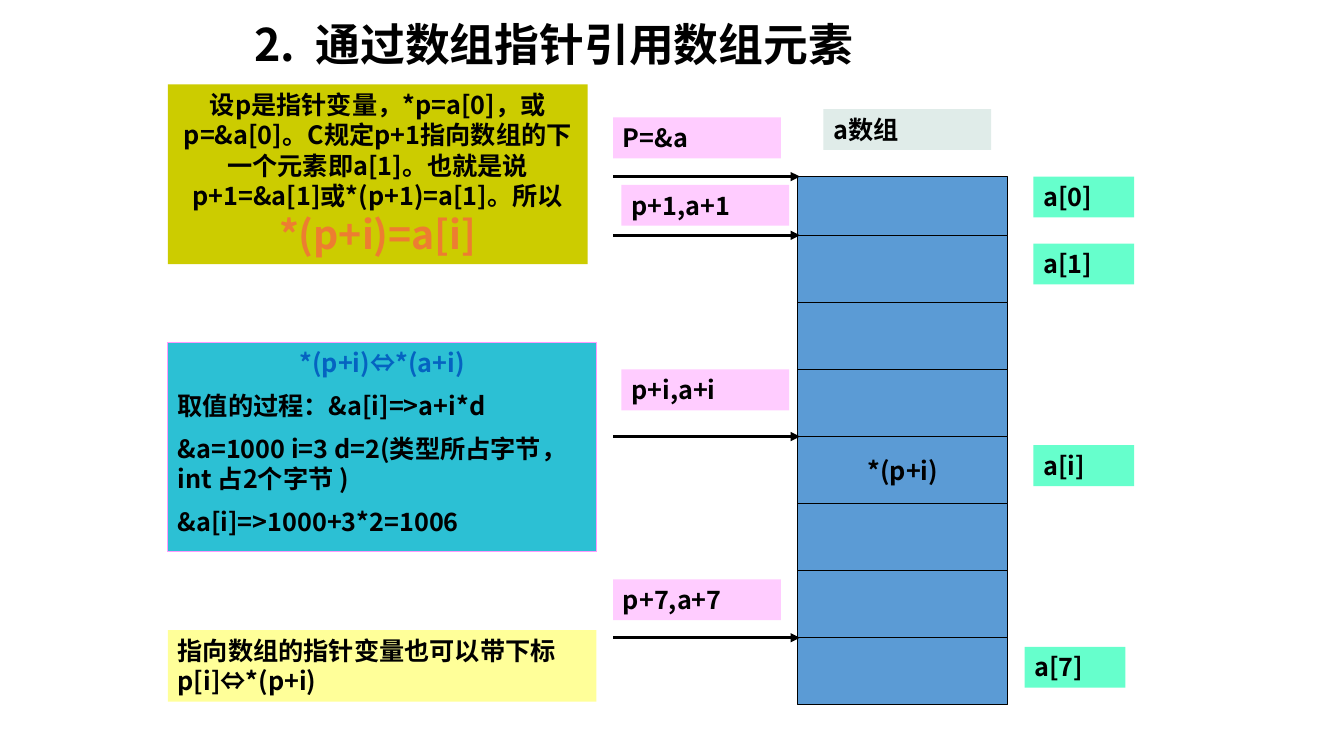
"""Build a slide on reaching array elements through a pointer."""
from lxml import etree
from pptx import Presentation
from pptx.dml.color import RGBColor
from pptx.enum.shapes import MSO_CONNECTOR, MSO_SHAPE
from pptx.enum.text import MSO_ANCHOR, MSO_AUTO_SIZE, PP_ALIGN
from pptx.oxml.ns import qn
from pptx.util import Cm, Pt

RECTANGLE = MSO_SHAPE.RECTANGLE
STRAIGHT = MSO_CONNECTOR.STRAIGHT
LEFT, CENTER = PP_ALIGN.LEFT, PP_ALIGN.CENTER
TOP, MIDDLE = MSO_ANCHOR.TOP, MSO_ANCHOR.MIDDLE
FIT_SHAPE, FIT_NONE = MSO_AUTO_SIZE.SHAPE_TO_FIT_TEXT, MSO_AUTO_SIZE.NONE

FONT = "Noto Sans CJK SC"
BLACK = RGBColor(0x00, 0x00, 0x00)
ORANGE = RGBColor(0xED, 0x7D, 0x31)
LINK_BLUE = RGBColor(0x05, 0x63, 0xC1)
CELL_BLUE = RGBColor(0x5B, 0x9B, 0xD5)
OLIVE = RGBColor(0xCC, 0xCC, 0x00)
MINT = RGBColor(0x66, 0xFF, 0xCC)
PINK = RGBColor(0xFF, 0xCC, 0xFF)
PINK_EDGE = RGBColor(0xFF, 0x99, 0xFF)
TEAL = RGBColor(0x2C, 0xC0, 0xD4)
YELLOW = RGBColor(0xFF, 0xFF, 0x99)
PALE_GREY = RGBColor(0xE0, 0xEC, 0xE9)

ARRAY_LEFT, ARRAY_WIDTH = 20.11, 5.29
FIRST_TOP, SECOND_TOP, PITCH = 4.45, 5.93, 1.69
CELL_COUNT = 8
LABEL_HEIGHT = 1.03
ARROW_LEFT = 15.45


def cell_top(index):
    """Return the top of an array cell in centimetres."""
    return SECOND_TOP + (index - 1) * PITCH if index else FIRST_TOP


def format_span(span, size=18, color=BLACK):
    """Apply the bold slide font to a run."""
    span.font.size = Pt(size)
    span.font.bold = True
    span.font.color.rgb = color
    span.font.name = FONT
    east_asian = etree.SubElement(span.font._element, qn("a:ea"))
    east_asian.set("typeface", FONT)


def add_box(page, place, fill, lines=(), edge=None, align=LEFT, anchor=TOP):
    """Add a filled rectangle with one paragraph for each line."""
    box = page.shapes.add_shape(RECTANGLE, *map(Cm, place))
    box.shadow.inherit = False
    box.fill.solid()
    box.fill.fore_color.rgb = fill
    if edge is None:
        box.line.fill.background()
    else:
        box.line.color.rgb = edge
        box.line.width = Pt(0.75)
    frame = box.text_frame
    frame.word_wrap = True
    frame.vertical_anchor = anchor
    frame.auto_size = FIT_SHAPE if lines and anchor == TOP else FIT_NONE
    frame.text = "\n".join(lines)
    for number, para in enumerate(frame.paragraphs):
        para.alignment = align
        if number:
            para.space_before = Pt(9)
        for span in para.runs:
            format_span(span)
    return box


def add_label(page, left, top, width, fill, text):
    """Add a one-line label."""
    add_box(page, (left, top, width, LABEL_HEIGHT), fill, [text])


def add_arrow(page, top):
    """Add an arrow that points at the array."""
    arrow = page.shapes.add_connector(
        STRAIGHT, Cm(ARROW_LEFT), Cm(top), Cm(ARRAY_LEFT + 0.05), Cm(top))
    arrow.line.color.rgb = BLACK
    arrow.line.width = Pt(2.25)
    head = etree.SubElement(arrow.line._get_or_add_ln(), qn("a:tailEnd"))
    head.set("type", "triangle")
    etree.SubElement(arrow._element.spPr, qn("a:effectLst"))


def add_title(page, text):
    """Place and format the slide title."""
    title = page.shapes.title
    title.left, title.top, title.width, title.height = map(
        Cm, (6.15, 0.23, 21.59, 1.9))
    frame = title.text_frame
    frame.text = text
    frame.vertical_anchor = MIDDLE
    para = frame.paragraphs[0]
    para.alignment = LEFT
    para.line_spacing = 0.9
    format_span(para.runs[0], 32)


def add_notes_column(page):
    """Add the three explanation boxes on the left."""
    rule = add_box(
        page, (4.23, 2.13, 10.58, 4.53), OLIVE,
        ["设p是指针变量，*p=a[0]，或p=&a[0]。C规定p+1指向数组的下一个元素即a[1]。"
         "也就是说p+1=&a[1]或*(p+1)=a[1]。所以 "], align=CENTER)
    formula = rule.text_frame.paragraphs[0].add_run()
    formula.text = "*(p+i)=a[i]"
    format_span(formula, 28, ORANGE)

    process = add_box(
        page, (4.23, 8.64, 10.8, 5.26), TEAL,
        ["*(p+i)⇔*(a+i)",
         "取值的过程：&a[i]=>a+i*d",
         "&a=1000 i=3 d=2(类型所占字节，int 占2个字节 )",
         "&a[i]=>1000+3*2=1006"], edge=PINK_EDGE)
    heading = process.text_frame.paragraphs[0]
    heading.alignment = CENTER
    heading.runs[0].font.color.rgb = LINK_BLUE

    add_box(page, (4.23, 15.88, 10.8, 1.8), YELLOW,
            ["指向数组的指针变量也可以带下标p[i]⇔*(p+i)"])


def add_array(page):
    """Add the array cells with their element names and pointers."""
    for index in range(CELL_COUNT):
        lines = ["*(p+i)"] if index == 4 else []
        add_box(page, (ARRAY_LEFT, cell_top(index), ARRAY_WIDTH, PITCH),
                CELL_BLUE, lines, BLACK, CENTER, MIDDLE)
    add_label(page, 20.75, 2.75, 4.23, PALE_GREY, "a数组")

    elements = [(26.04, 4.45, "a[0]"), (26.04, 6.14, "a[1]"),
                (26.04, 11.22, "a[i]"), (25.82, 16.3, "a[7]")]
    for left, top, text in elements:
        add_label(page, left, top, 2.54, MINT, text)

    for index in (0, 1, 4, 7):
        add_arrow(page, cell_top(index))

    pointers = [(15.45, 2.96, "P=&a"), (15.66, 4.66, "p+1,a+1"),
                (15.66, 9.31, "p+i,a+i"), (15.45, 14.6, "p+7,a+7")]
    for left, top, text in pointers:
        add_label(page, left, top, 4.23, PINK, text)


def main():
    """Build and save the deck."""
    deck = Presentation()
    deck.slide_width, deck.slide_height = Cm(33.87), Cm(19.05)
    page = deck.slides.add_slide(deck.slide_layouts[5])
    add_title(page, "2.  通过数组指针引用数组元素")
    add_notes_column(page)
    add_array(page)
    deck.save("out.pptx")


if __name__ == "__main__":
    main()
